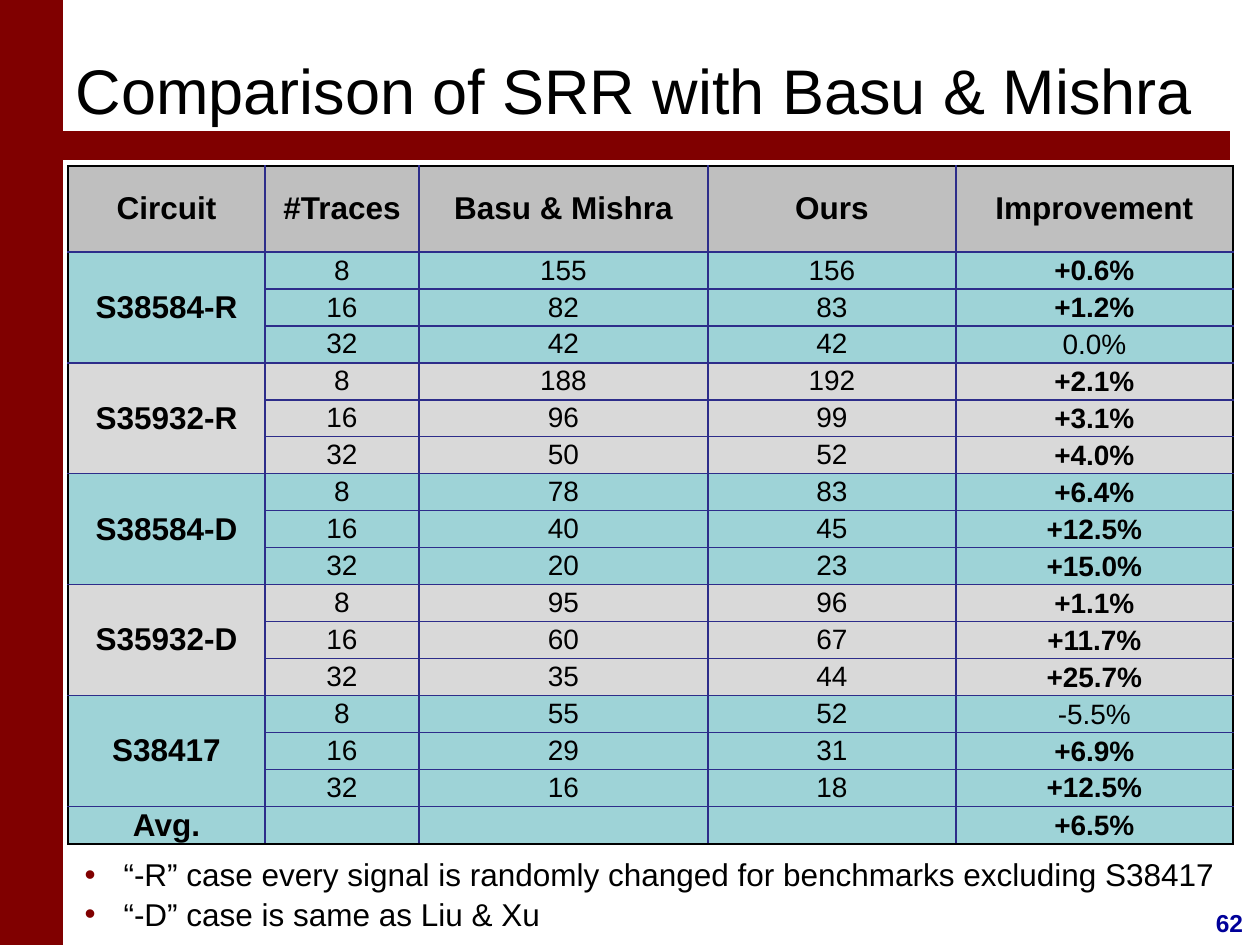
from lxml.etree import SubElement
from pptx import Presentation
from pptx.dml.color import RGBColor
from pptx.enum.shapes import MSO_SHAPE
from pptx.enum.text import MSO_ANCHOR, MSO_AUTO_SIZE, PP_ALIGN
from pptx.oxml.ns import qn
from pptx.util import Emu, Pt

PX_PER_INCH = 126
MAROON, BLACK, NAVY, GRID = "800000", "000000", "000099", "2D2D8A"
HEADER_FILL, TEAL, GREY = "BFBFBF", "9ED3D7", "D9D9D9"

COLUMN_WIDTHS = [197, 154, 289, 248, 277]
HEADER_HEIGHT, ROW_HEIGHT = 86, 37
HEADERS = ["Circuit", "#Traces", "Basu & Mishra", "Ours", "Improvement"]
TRACES = ["8", "16", "32"]
RESULTS = {
    "S38584-R": [("155", "156", "+0.6%"), ("82", "83", "+1.2%"), ("42", "42", "0.0%")],
    "S35932-R": [("188", "192", "+2.1%"), ("96", "99", "+3.1%"), ("50", "52", "+4.0%")],
    "S38584-D": [("78", "83", "+6.4%"), ("40", "45", "+12.5%"), ("20", "23", "+15.0%")],
    "S35932-D": [("95", "96", "+1.1%"), ("60", "67", "+11.7%"), ("35", "44", "+25.7%")],
    "S38417": [("55", "52", "-5.5%"), ("29", "31", "+6.9%"), ("16", "18", "+12.5%")],
}
AVERAGE = ["Avg.", "", "", "", "+6.5%"]
NOTES = [
    "“-R” case every signal is randomly changed for benchmarks excluding S38417",
    "“-D” case is same as Liu & Xu",
]


def px(length):
    return Emu(round(length * 914400 / PX_PER_INCH))


def color(hex_value):
    return RGBColor.from_string(hex_value)


def set_all(target, values):
    for name, value in values.items():
        setattr(target, name, value)


def place(shape, box):
    set_all(shape, dict(zip(("left", "top", "width", "height"), map(px, box))))


def write(paragraph, text, size, bold=False, ink=BLACK, align=PP_ALIGN.LEFT):
    paragraph.alignment = align
    run = paragraph.add_run()
    run.text = text
    set_all(run.font, {"name": "Arial", "size": Pt(size), "bold": bold})
    run.font.color.rgb = color(ink)


def add_bar(slide, box):
    bar = slide.shapes.add_shape(MSO_SHAPE.RECTANGLE, *map(px, box))
    bar.shadow.inherit = False
    bar.fill.solid()
    bar.fill.fore_color.rgb = color(MAROON)
    bar.line.fill.background()


def add_title(slide, box, text):
    title = slide.shapes.title
    place(title, box)
    set_all(title.text_frame, {"vertical_anchor": MSO_ANCHOR.MIDDLE,
                               "auto_size": MSO_AUTO_SIZE.NONE})
    write(title.text_frame.paragraphs[0], text, 36)


def add_notes_list(slide, box, lines):
    body = slide.placeholders[1]
    place(body, box)
    frame = body.text_frame
    frame.auto_size = MSO_AUTO_SIZE.NONE
    for index, line in enumerate(lines):
        paragraph = frame.add_paragraph() if index else frame.paragraphs[0]
        paragraph.space_before = Pt(1)
        write(paragraph, line, 18)
        properties = paragraph._p.get_or_add_pPr()
        properties.set("marL", str(px(39)))
        properties.set("indent", str(-px(39)))
        bullet_color = SubElement(properties, qn("a:buClr"))
        SubElement(bullet_color, qn("a:srgbClr"), val=MAROON)
        SubElement(properties, qn("a:buFont"), typeface="Arial")
        SubElement(properties, qn("a:buChar"), char="•")


def add_page_number(slide, box, number):
    text_box = slide.shapes.add_textbox(*map(px, box))
    text_box.text_frame.word_wrap = True
    write(text_box.text_frame.paragraphs[0], number, 14, True, NAVY, PP_ALIGN.CENTER)


def set_borders(cell, edge_colors):
    """Draw 1 pt borders; edge_colors run left, right, top, bottom."""
    properties = cell._tc.get_or_add_tcPr()
    for side, edge_color in zip("LRTB", edge_colors):
        line = SubElement(properties, qn(f"a:ln{side}"), w=str(Pt(1)))
        fill = SubElement(line, qn("a:solidFill"))
        SubElement(fill, qn("a:srgbClr"), val=edge_color)


def table_rows():
    """Return pairs of fill colour and cell texts, from top to bottom."""
    rows = [(HEADER_FILL, HEADERS)]
    for index, (circuit, results) in enumerate(RESULTS.items()):
        fill = GREY if index % 2 else TEAL
        for row, (traces, values) in enumerate(zip(TRACES, results)):
            rows.append((fill, ["" if row else circuit, traces, *values]))
    return rows + [(TEAL, AVERAGE)]


def add_results_table(slide, left, top):
    rows = table_rows()
    last_row, last_column = len(rows) - 1, len(HEADERS) - 1
    box = (left, top, sum(COLUMN_WIDTHS), HEADER_HEIGHT + last_row * ROW_HEIGHT)
    table = slide.shapes.add_table(len(rows), len(HEADERS), *map(px, box)).table
    set_all(table, {"first_row": False, "horz_banding": False})
    for column, width in zip(table.columns, COLUMN_WIDTHS):
        column.width = px(width)
    for r, (fill, texts) in enumerate(rows):
        table.rows[r].height = px(ROW_HEIGHT if r else HEADER_HEIGHT)
        for c, text in enumerate(texts):
            cell = table.cell(r, c)
            set_all(cell, {"margin_left": px(1), "margin_right": px(1),
                           "margin_top": px(1 if r and c == last_column else 0),
                           "margin_bottom": 0,
                           "vertical_anchor": MSO_ANCHOR.MIDDLE})
            outer = (c == 0, c == last_column, r == 0, r == last_row)
            set_borders(cell, [BLACK if edge else GRID for edge in outer])
            cell.fill.solid()
            cell.fill.fore_color.rgb = color(fill)
            heading = r == 0 or c == 0
            if text:
                write(cell.text_frame.paragraphs[0], text, 18 if heading else 16,
                      heading or text.startswith("+"), align=PP_ALIGN.CENTER)
    for first in range(1, last_row, len(TRACES)):
        table.cell(first, 0).merge(table.cell(first + len(TRACES) - 1, 0))


def main():
    presentation = Presentation()
    set_all(presentation, {"slide_width": px(1260), "slide_height": px(945)})
    slide = presentation.slides.add_slide(presentation.slide_layouts[1])
    add_bar(slide, (0, 0, 63, 945))
    add_bar(slide, (53, 131, 1177, 29))
    add_page_number(slide, (1198, 902, 63, 42), "62")
    add_title(slide, (63, 21, 1155, 136), "Comparison of SRR with Basu & Mishra")
    add_results_table(slide, 68, 166)
    add_notes_list(slide, (72, 849, 1187, 89), NOTES)
    presentation.save("out.pptx")


if __name__ == "__main__":
    main()
